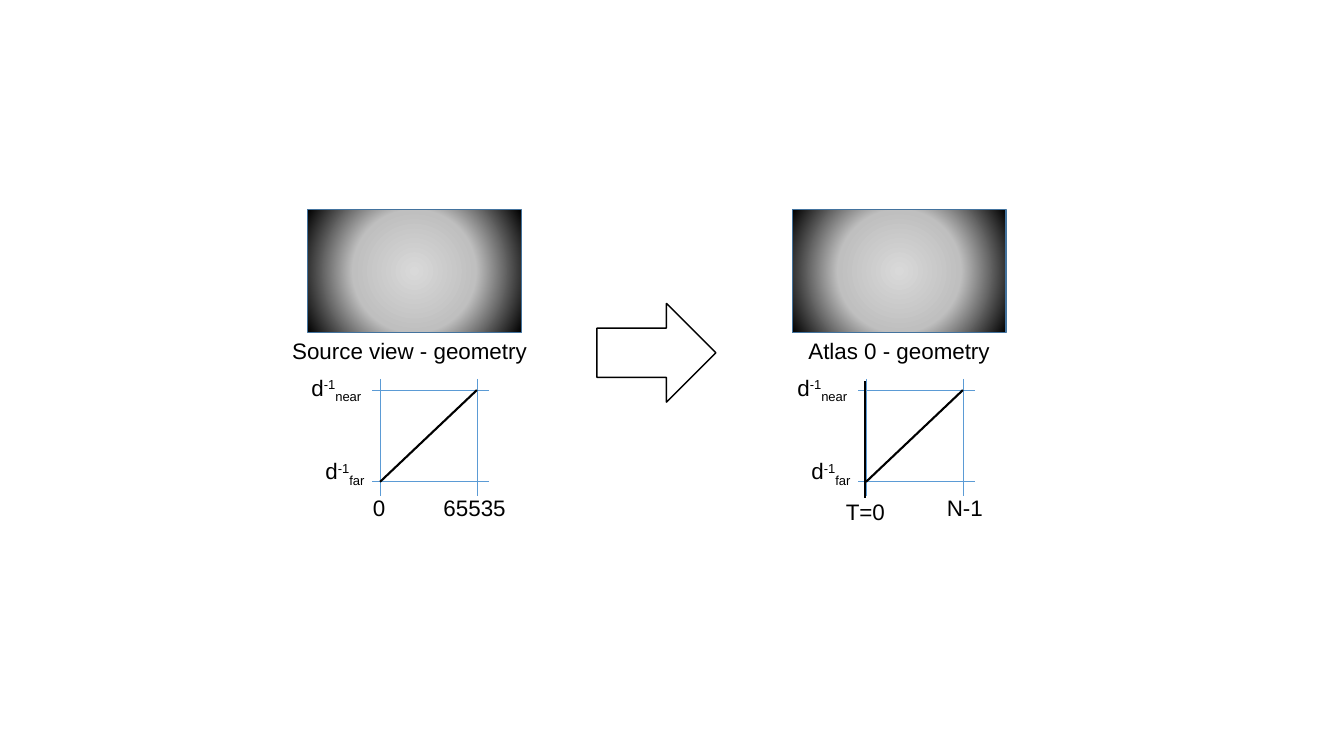
from lxml import etree
from pptx import Presentation
from pptx.dml.color import RGBColor
from pptx.enum import shapes, text
from pptx.oxml import parse_xml
from pptx.oxml.ns import nsdecls, qn
from pptx.util import Inches, Pt

COLORS = {
    "black": "000000",
    "white": "FFFFFF",
    "axis": "5B9BD5",
    "frame": "43739E",
    "light": "D9D9D9",
    "mid": "BFBFBF",
}
STEP = 4.82  # distance between the two plots


def rgb(name):
    return RGBColor.from_string(COLORS[name])


def add_label(slide, left, top, width, parts, align=text.PP_ALIGN.LEFT):
    """Add one line of text from (words, baseline percent) parts."""
    box = slide.shapes.add_textbox(
        Inches(left), Inches(top), Inches(width), Inches(0.37))
    frame = box.text_frame
    frame.word_wrap = False
    frame.auto_size = text.MSO_AUTO_SIZE.SHAPE_TO_FIT_TEXT
    para = frame.paragraphs[0]
    para.alignment = align
    font = para.font
    font.name = "Arial"
    font.size = Pt(16)
    font.color.rgb = rgb("black")
    for words, base in parts:
        run = para.add_run()
        run.text = words
        if base:
            run._r.get_or_add_rPr().set("baseline", str(base * 1000))


def add_line(slide, x1, y1, x2, y2, color="axis", width=0.5):
    line = slide.shapes.add_connector(
        shapes.MSO_CONNECTOR.STRAIGHT,
        Inches(x1), Inches(y1), Inches(x2), Inches(y2))
    line.line.color.rgb = rgb(color)
    line.line.width = Pt(width)
    etree.SubElement(line._element.spPr, qn("a:effectLst"))


def add_block(slide, kind, left, top, width, height, edge):
    block = slide.shapes.add_shape(
        kind, Inches(left), Inches(top), Inches(width), Inches(height))
    block.shadow.inherit = False
    block.fill.solid()
    block.fill.fore_color.rgb = rgb("white")
    block.line.color.rgb = rgb(edge)
    block.line.width = Pt(1)
    return block


def add_view(slide, left):
    """Add a depth map that darkens from its centre outwards."""
    view = add_block(slide, shapes.MSO_SHAPE.RECTANGLE,
                     left, 2.08, 2.12, 1.22, "frame")
    stops = "".join(
        f'<a:gs pos="{pos * 1000}"><a:srgbClr val="{COLORS[name]}"/></a:gs>'
        for pos, name in ((0, "light"), (50, "mid"), (100, "black")))
    grad = parse_xml(
        f'<a:gradFill {nsdecls("a")} rotWithShape="1">'
        f'<a:gsLst>{stops}</a:gsLst><a:path path="circle">'
        '<a:fillToRect l="50000" t="50000" r="50000" b="50000"/>'
        '</a:path></a:gradFill>')
    props = view._element.spPr
    props.replace(props.find(qn("a:solidFill")), grad)


def add_plot(slide, shift):
    """Add the guides, depth labels and mapping line of one plot."""
    left, right, near, far = 3.77 + shift, 4.73 + shift, 3.87, 4.78
    for x in (left, right):
        add_line(slide, x, 3.76, x, 4.92)
    for y in (near, far):
        add_line(slide, right + 0.12, y, left - 0.08, y)
    for x, y, width, name in ((2.99, 3.66, 0.75, "near"),
                              (3.13, 4.49, 0.63, "far")):
        add_label(slide, x + shift, y, width,
                  [("d", 0), ("-1", 30), (name, -25)])
    add_line(slide, right, near, left, far, "black", 1.5)


def main():
    deck = Presentation()
    deck.slide_width, deck.slide_height = Inches(13.33), Inches(7.5)
    slide = deck.slides.add_slide(deck.slide_layouts[6])

    # Source view
    add_view(slide, 3.05)
    add_label(slide, 2.8, 3.3, 2.56, [("Source view - geometry", 0)])
    add_plot(slide, 0)
    add_label(slide, 3.6, 4.85, 0.33, [("0", 0)])
    add_label(slide, 4.3, 4.85, 0.82, [("65535", 0)])

    # Arrow between the views
    add_block(slide, shapes.MSO_SHAPE.RIGHT_ARROW,
              5.92, 3.01, 1.18, 0.98, "black")

    # Atlas
    add_view(slide, 7.86)
    add_label(slide, 7.92, 3.3, 2.03, [("Atlas 0 - geometry", 0)])
    add_plot(slide, STEP)
    add_label(slide, 8.29, 4.89, 0.59, [("T=0", 0)])
    add_label(slide, 9.29, 4.85, 0.56, [("N-1", 0)], text.PP_ALIGN.CENTER)
    add_line(slide, 8.58, 3.78, 8.58, 4.94, "black", 1)

    deck.save("out.pptx")


if __name__ == "__main__":
    main()
